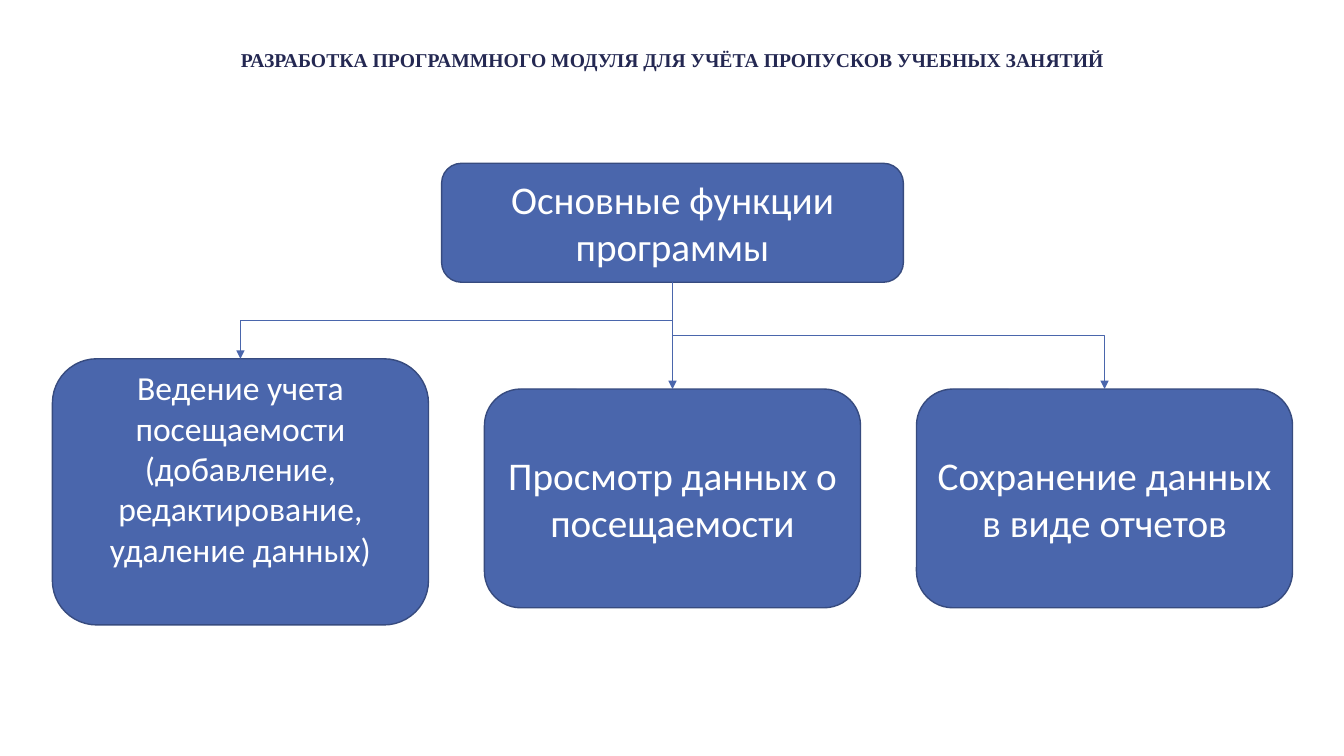
from dataclasses import dataclass

from lxml import etree
from pptx import Presentation
from pptx.dml.color import RGBColor
from pptx.enum.shapes import MSO_CONNECTOR, MSO_SHAPE
from pptx.enum.text import MSO_ANCHOR, PP_ALIGN
from pptx.oxml.ns import qn
from pptx.util import Pt

ROUNDED = MSO_SHAPE.ROUNDED_RECTANGLE
ELBOW = MSO_CONNECTOR.ELBOW
CENTER = PP_ALIGN.CENTER
MIDDLE = MSO_ANCHOR.MIDDLE
EMU_PER_PX = 9144
QUARTER_TURN = 5400000
TITLE_ONLY = 5


@dataclass(frozen=True)
class Theme:
    """Colours, fonts and type sizes of the slide."""

    title_color: str = "242852"
    box_fill: str = "4A66AC"
    box_line: str = "374B7F"
    box_text: str = "FFFFFF"
    title_font: str = "Times New Roman"
    body_font: str = "Calibri"
    title_size: int = 14
    body_size: int = 28
    detail_size: int = 24
    box_line_width: float = 1
    arrow_width: float = 0.5


THEME = Theme()


def px(length):
    """Turn px into EMU."""
    return round(length * EMU_PER_PX)


def rgb(color):
    """Turn a hex string into a colour."""
    return RGBColor.from_string(color)


def write_text(shape, text, *, size, font, color, bold=False, line_spacing=1.0, bottom_inset=5):
    """Write one centred paragraph into a shape."""
    frame = shape.text_frame
    frame.word_wrap = True
    frame.vertical_anchor = MIDDLE
    frame.margin_left = frame.margin_right = px(10)
    frame.margin_top, frame.margin_bottom = px(5), px(bottom_inset)
    paragraph = frame.paragraphs[0]
    paragraph.alignment = CENTER
    paragraph.line_spacing = line_spacing
    run = paragraph.add_run()
    run.text = text
    run.font.size = Pt(size)
    run.font.name = font
    run.font.bold = bold
    run.font.color.rgb = rgb(color)


def add_title(slide, text, box):
    """Place and format the title placeholder."""
    title = slide.shapes.title
    title.left, title.top, title.width, title.height = map(px, box)
    write_text(title, text, size=THEME.title_size, font=THEME.title_font,
               color=THEME.title_color, bold=True, line_spacing=0.9)


def add_box(slide, text, box, size=THEME.body_size, bottom_inset=5):
    """Add a rounded box with a caption."""
    shape = slide.shapes.add_shape(ROUNDED, *map(px, box))
    shape.shadow.inherit = False
    shape.fill.solid()
    shape.fill.fore_color.rgb = rgb(THEME.box_fill)
    shape.line.color.rgb = rgb(THEME.box_line)
    shape.line.width = Pt(THEME.box_line_width)
    write_text(shape, text, size=size, font=THEME.body_font,
               color=THEME.box_text, bottom_inset=bottom_inset)


def add_arrow(slide, parent, child):
    """Join the bottom of one box to the top of another by a vertical-first elbow."""
    start_x, start_y = parent[0] + parent[2] / 2, parent[1] + parent[3]
    end_x, end_y = child[0] + child[2] / 2, child[1]
    center_x, center_y = (start_x + end_x) / 2, (start_y + end_y) / 2
    half_drop, half_span = (end_y - start_y) / 2, abs(end_x - start_x) / 2
    rightward = end_x > start_x
    direction = -1 if rightward else 1
    connector = slide.shapes.add_connector(
        ELBOW,
        px(center_x - direction * half_drop), px(center_y - half_span),
        px(center_x + direction * half_drop), px(center_y + half_span))
    connector.line.color.rgb = rgb(THEME.box_fill)
    connector.line.width = Pt(THEME.arrow_width)
    properties = connector._element.spPr
    turns = 3 if rightward else 1
    properties.find(qn("a:xfrm")).set("rot", str(turns * QUARTER_TURN))
    etree.SubElement(properties.find(qn("a:ln")), qn("a:tailEnd"), type="triangle")
    etree.SubElement(properties, qn("a:effectLst"))


def add_function_tree(slide, box):
    """Draw the main box, its three functions and the arrows between them."""
    left, top, width, height = box
    child_width, child_height, child_top = 373, 217, top + 224
    pitch = (width - child_width) / 2
    root = (left + 386, top, 458, 118)
    detail = (left, child_top - 30, child_width, height - 194)
    view, reports = [(left + column * pitch, child_top, child_width, child_height)
                     for column in (1, 2)]
    add_box(slide, "Основные функции программы", root)
    add_box(slide, "Ведение учета посещаемости (добавление, редактирование, удаление данных)",
            detail, size=THEME.detail_size, bottom_inset=52)
    add_box(slide, "Просмотр данных о посещаемости", view)
    add_box(slide, "Сохранение данных в виде отчетов", reports)
    for child in (detail, view, reports):
        add_arrow(slide, root, child)


def main():
    """Build and save the presentation."""
    presentation = Presentation()
    presentation.slide_width, presentation.slide_height = px(1333), px(750)
    slide = presentation.slides.add_slide(presentation.slide_layouts[TITLE_ONLY])
    add_title(slide, "РАЗРАБОТКА ПРОГРАММНОГО МОДУЛЯ ДЛЯ УЧЁТА ПРОПУСКОВ УЧЕБНЫХ ЗАНЯТИЙ",
              (217, 30, 900, 61))
    add_function_tree(slide, (52, 162, 1230, 458))
    presentation.save("out.pptx")


if __name__ == "__main__":
    main()
